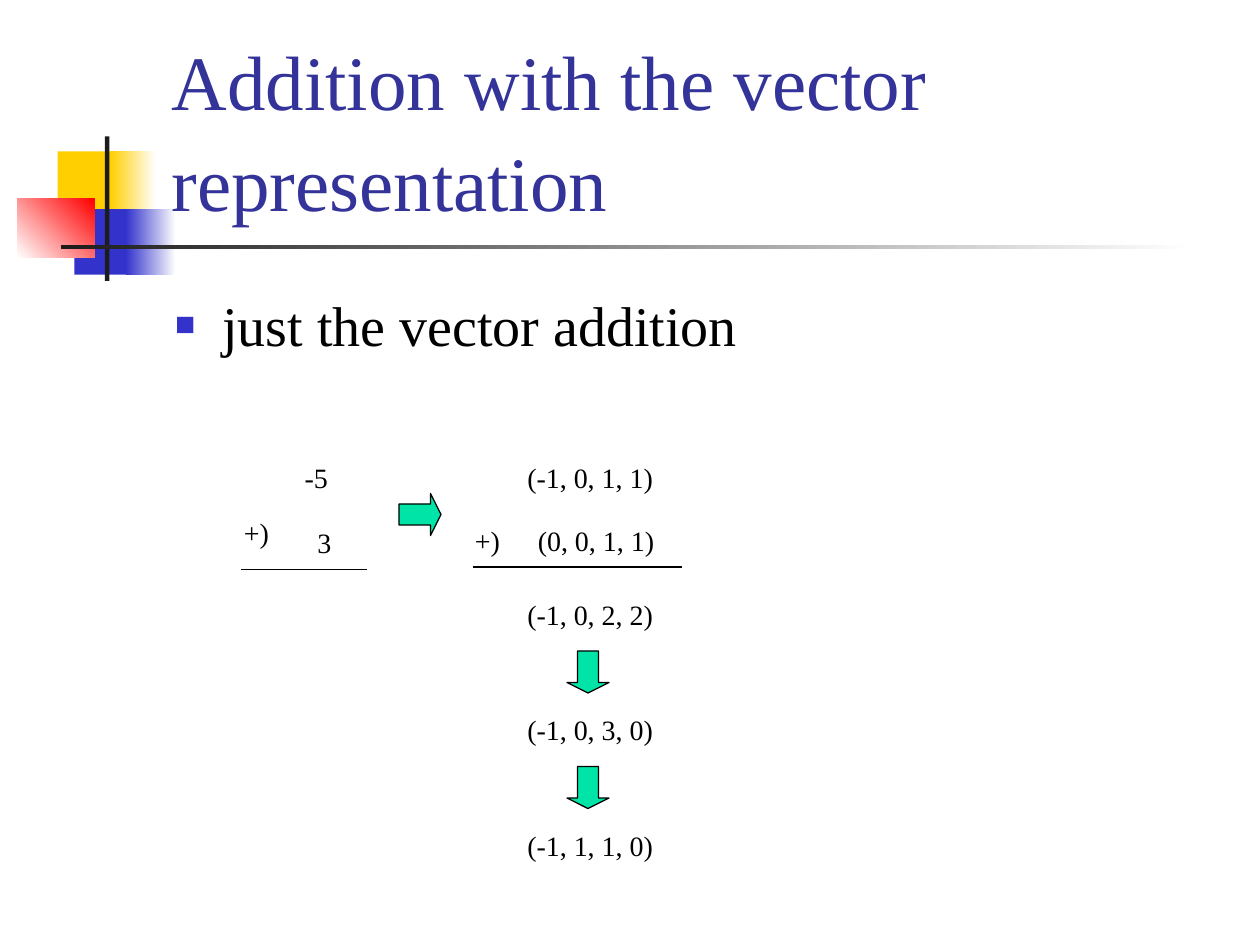
from lxml import etree
from pptx import Presentation
from pptx import util as u
from pptx.dml.color import RGBColor
from pptx.enum import shapes, text
from pptx.oxml import ns

FONT = "Times New Roman"
COLORS = {
    "yellow": "FFCF01",
    "blue": "3333CC",
    "red": "FF0000",
    "white": "FFFFFF",
    "charcoal": "1C1C1C",
    "title": "333399",
    "black": "000000",
    "green": "00E4A8",
}
ARROW_SIZE = 24


def rgb(name):
    return RGBColor.from_string(COLORS[name])


def points(*values):
    return [u.Pt(value) for value in values]


def add_block(slide, box, start, end=None, angle=0):
    shape = slide.shapes.add_shape(shapes.MSO_SHAPE.RECTANGLE, *points(*box))
    shape.shadow.inherit = False
    shape.line.fill.background()
    if end is None:
        shape.fill.solid()
        shape.fill.fore_color.rgb = rgb(start)
    else:
        shape.fill.gradient()
        shape.fill.gradient_angle = angle
        for stop, name, position in zip(shape.fill.gradient_stops, (start, end), (0, 1)):
            stop.color.rgb = rgb(name)
            stop.position = position


def add_text(slide, content, box, size=16, color="black", wrap=False,
             anchor=text.MSO_ANCHOR.TOP, bottom=3.6, bullet=None):
    shape = slide.shapes.add_textbox(*points(*box))
    frame = shape.text_frame
    frame.word_wrap = wrap
    frame.auto_size = text.MSO_AUTO_SIZE.NONE if wrap else text.MSO_AUTO_SIZE.SHAPE_TO_FIT_TEXT
    frame.vertical_anchor = anchor
    frame.margin_left = frame.margin_right = u.Pt(7.2)
    frame.margin_top, frame.margin_bottom = points(3.6, bottom)
    paragraph = frame.paragraphs[0]
    paragraph.line_spacing = 1.09
    if bullet:
        add_bullet(paragraph, bullet)
    run = paragraph.add_run()
    run.text = content
    run.font.name = FONT
    run.font.size = u.Pt(size)
    run.font.color.rgb = rgb(color)


def add_bullet(paragraph, color):
    properties = paragraph._p.get_or_add_pPr()
    properties.set("marL", str(u.Pt(27)))
    properties.set("indent", str(u.Pt(-27)))
    bullet_color = etree.SubElement(properties, ns.qn("a:buClr"))
    etree.SubElement(bullet_color, ns.qn("a:srgbClr"), val=COLORS[color])
    etree.SubElement(properties, ns.qn("a:buSzPct"), val="60000")
    etree.SubElement(properties, ns.qn("a:buFont"), typeface=FONT)
    etree.SubElement(properties, ns.qn("a:buChar"), char="■")


def add_rule(slide, left, right, top):
    line = slide.shapes.add_connector(
        shapes.MSO_CONNECTOR.STRAIGHT, *points(left, top, right, top))
    line.line.color.rgb = rgb("black")
    line.line.width = u.Pt(0.75)
    etree.SubElement(line._element.spPr, ns.qn("a:effectLst"))


def add_arrow(slide, kind, left, top):
    arrow = slide.shapes.add_shape(kind, *points(left, top, ARROW_SIZE, ARROW_SIZE))
    arrow.shadow.inherit = False
    arrow.adjustments[0] = 0.5
    arrow.adjustments[1] = 0.25
    arrow.fill.solid()
    arrow.fill.fore_color.rgb = rgb("green")
    arrow.line.color.rgb = rgb("black")
    arrow.line.width = u.Pt(0.75)


def add_decoration(slide):
    add_block(slide, (33, 86.5, 34.5, 37.5), "yellow")
    add_block(slide, (63, 86.5, 26, 37.5), "yellow", "white")
    add_block(slide, (42.5, 119.5, 33, 37.5), "blue")
    add_block(slide, (72, 119.5, 28.5, 37.5), "blue", "white")
    add_block(slide, (10, 113.5, 44, 33.5), "white", "red", angle=45)
    add_block(slide, (60, 78, 2.5, 82.5), "charcoal")
    add_block(slide, (34.75, 140, 648, 2.5), "charcoal", "white")


def add_sums(slide):
    labels = [
        ("-5", 167, 257.75, 27.5),
        ("3", 174.25, 295.25, 22.5),
        ("+)", 132.25, 289.25, 29),
        ("(-1, 0, 1, 1)", 294.25, 257.75, 86),
        ("(0, 0, 1, 1)", 300.25, 293.75, 81),
        ("+)", 264.25, 293.75, 29),
    ]
    for content, left, top, width in labels:
        add_text(slide, content, (left, top, width, 26.6))
    add_rule(slide, 138, 210, 325.25)
    add_rule(slide, 270, 390, 324)
    add_arrow(slide, shapes.MSO_SHAPE.RIGHT_ARROW, 228, 282)


def add_carry_steps(slide):
    first_top, step = 336, 66
    results = ["(-1, 0, 2, 2)", "(-1, 0, 3, 0)", "(-1, 1, 1, 0)"]
    for index, result in enumerate(results):
        top = first_top + index * step
        add_text(slide, result, (294.25, top, 86, 26.6))
        if index < len(results) - 1:
            add_arrow(slide, shapes.MSO_SHAPE.DOWN_ARROW, 324, top + 36)


def main():
    presentation = Presentation()
    presentation.slide_width, presentation.slide_height = points(720, 540)
    slide = presentation.slides.add_slide(presentation.slide_layouts[6])
    add_decoration(slide)
    add_text(slide, "Addition with the vector representation", (91, 16.5, 613.5, 115.5),
             size=44, color="title", wrap=True, anchor=text.MSO_ANCHOR.BOTTOM, bottom=2.5)
    add_text(slide, "just the vector addition", (93, 159, 612, 69),
             size=32, wrap=True, bullet="blue")
    add_sums(slide)
    add_carry_steps(slide)
    presentation.save("out.pptx")


if __name__ == "__main__":
    main()
